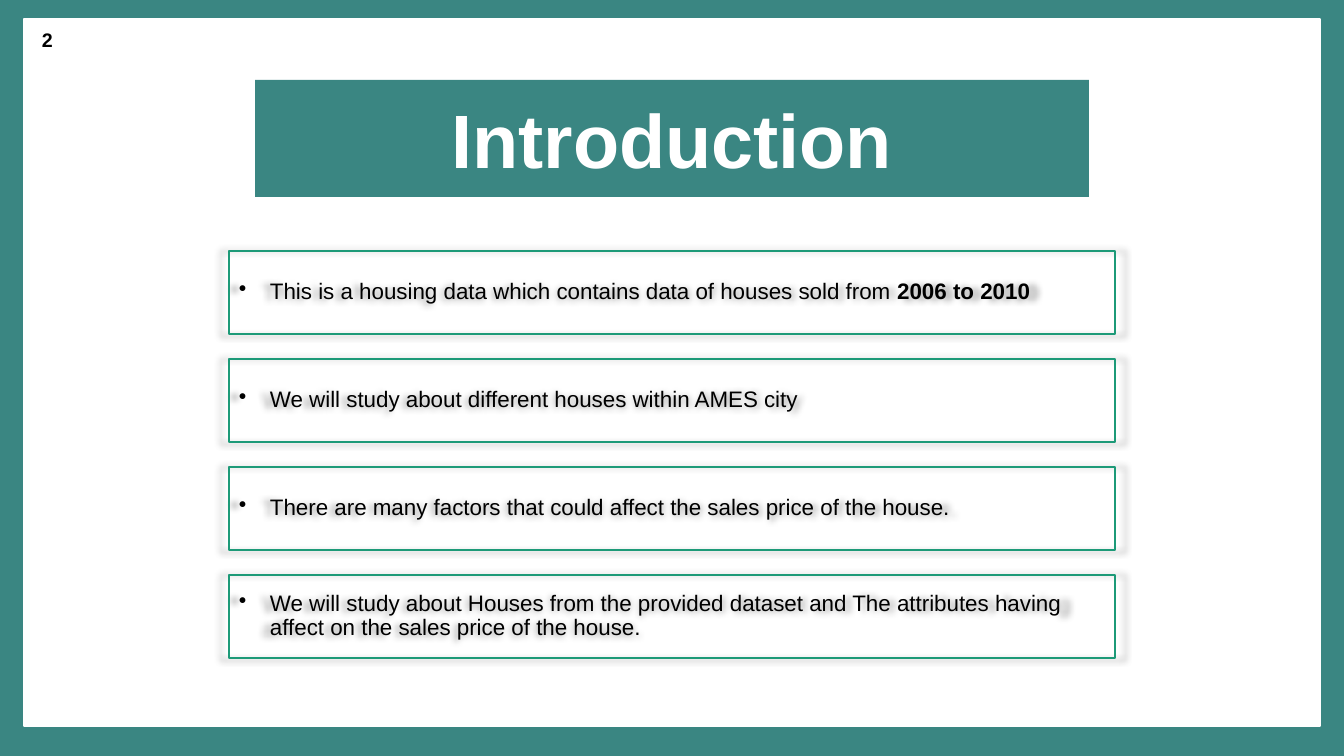
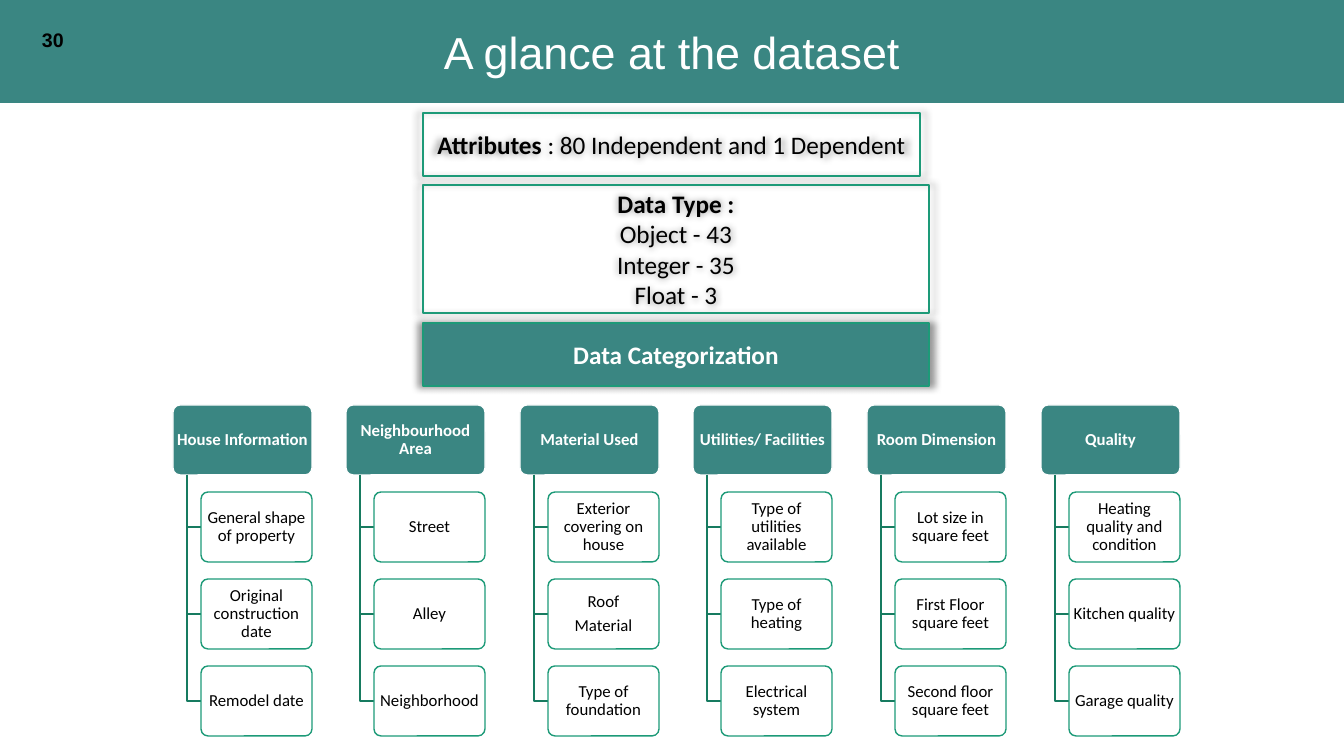
from lxml import etree
from pptx import Presentation
from pptx import util as u
from pptx.dml.color import RGBColor
from pptx.enum import shapes, text
from pptx.oxml import ns

WIDTH, HEIGHT = 1344, 756
EMU_PER_PX = 12192000 / WIDTH


def px(length):
    return u.Emu(round(length * EMU_PER_PX))


def rgb(value):
    return RGBColor.from_string(value)


class Deck:
    TEAL, GREEN, STEM = "3A8682", "1D9A78", "177B60"
    WHITE, BLACK = "FFFFFF", "000000"
    HEADING, BODY = "Arial", "Calibri"
    RECT = shapes.MSO_SHAPE.RECTANGLE
    ROUND = shapes.MSO_SHAPE.ROUNDED_RECTANGLE

    def __init__(self):
        self.prs = Presentation()
        self.prs.slide_width, self.prs.slide_height = px(WIDTH), px(HEIGHT)
        self.slide = None

    def new_slide(self):
        self.slide = self.prs.slides.add_slide(self.prs.slide_layouts[6])

    def box(self, left, top, width, height, fill=None, line=None, kind=RECT):
        box = self.slide.shapes.add_shape(kind, px(left), px(top), px(width), px(height))
        box.shadow.inherit = False
        if fill:
            box.fill.solid()
            box.fill.fore_color.rgb = rgb(fill)
        else:
            box.fill.background()
        self.outline(box, line)
        return box

    def outline(self, shape, line):
        if line:
            shape.line.color.rgb = rgb(line)
            shape.line.width = u.Pt(1)
        else:
            shape.line.fill.background()

    def glow(self, shape):
        effects = shape._element.spPr.find(ns.qn("a:effectLst"))
        shadow = etree.SubElement(effects, ns.qn("a:outerShdw"), blurRad=str(u.Pt(5)),
                                  sx="102000", sy="102000", algn="ctr", rotWithShape="0")
        black = etree.SubElement(shadow, ns.qn("a:prstClr"), val="black")
        etree.SubElement(black, ns.qn("a:alpha"), val="40000")

    def label(self, shape, paragraphs, size, font, color, bold=False, centered=True,
              bullet=False, spacing=None, gap=0, inset=(10, 5)):
        frame = shape.text_frame
        frame.word_wrap = True
        frame.vertical_anchor = text.MSO_ANCHOR.MIDDLE
        frame.margin_left = frame.margin_right = px(inset[0])
        frame.margin_top = frame.margin_bottom = px(inset[1])
        for index, content in enumerate(paragraphs):
            paragraph = frame.add_paragraph() if index else frame.paragraphs[0]
            paragraph.alignment = text.PP_ALIGN.CENTER if centered else text.PP_ALIGN.LEFT
            if spacing:
                paragraph.line_spacing = spacing
            if index and gap:
                paragraph.space_before = u.Pt(gap)
            if bullet:
                properties = paragraph._p.get_or_add_pPr()
                properties.set("marL", str(px(31)))
                properties.set("indent", str(-px(31)))
                etree.SubElement(properties, ns.qn("a:buChar"), char="•")
            paragraph.font.size = u.Pt(size)
            paragraph.font.name = font
            paragraph.font.color.rgb = rgb(color)
            if isinstance(content, str):
                paragraph.font.bold = bold
                paragraph.add_run().text = content
            else:
                for words, strong in content:
                    run = paragraph.add_run()
                    run.text = words
                    run.font.bold = strong

    def title(self, words, left, top, width, height, size, bold=False):
        banner = self.box(left, top, width, height, self.TEAL)
        self.label(banner, [words], size, self.HEADING, self.WHITE, bold)

    def page_number(self, number):
        corner = self.slide.shapes.add_textbox(px(32), px(20), px(302), px(40))
        self.label(corner, [str(number)], 14, self.HEADING, self.BLACK, True, centered=False)

    def frame(self):
        self.box(0, 0, WIDTH, HEIGHT, self.TEAL)
        self.box(24, 19, WIDTH - 48, 707, self.WHITE, self.WHITE)

    def bullet_card(self, top, content):
        card = self.box(229, top, 886, 83, line=self.GREEN)
        self.glow(card)
        self.label(card, [content], 16, self.HEADING, self.BLACK,
                   centered=False, bullet=True, spacing=0.9)

    def summary(self, top, width, height, paragraphs, fill=None, color=BLACK, bold=False):
        panel = self.box(423, top, width, height, fill, self.GREEN)
        self.glow(panel)
        self.label(panel, paragraphs, 18, self.BODY, color, bold)

    def node(self, left, top, width, paragraphs, fill, line, color, bold=False):
        node = self.box(left, top, width, 70, fill, line, self.ROUND)
        node.adjustments[0] = 0.1
        self.label(node, paragraphs, 12, self.BODY, color, bold,
                   spacing=0.9, gap=4, inset=(2, 2))

    def elbow(self, left, top, right, bottom):
        outline = self.slide.shapes.build_freeform(px(left), px(top))
        outline.add_line_segments([(px(left), px(bottom)), (px(right), px(bottom))], close=False)
        elbow = outline.convert_to_shape()
        elbow.shadow.inherit = False
        elbow.fill.background()
        self.outline(elbow, self.STEM)

    def category(self, left, heading, attributes):
        self.node(left, 405, 139, [heading], self.TEAL, self.WHITE, self.WHITE, True)
        for row, attribute in enumerate(attributes):
            top = 492 + 87 * row
            self.elbow(left + 14, 475, left + 28, top + 35)
            self.node(left + 28, top, 111, attribute.split("\n"),
                      self.WHITE, self.GREEN, self.BLACK)


POINTS = [
    [("This is a housing data which contains data of houses sold from ", False),
     ("2006 to 2010", True)],
    "We will study about different houses within AMES city",
    "There are many factors that could affect the sales price of the house.",
    "We will study about Houses from the provided dataset and The attributes having "
    "affect on the sales price of the house.",
]

CATEGORIES = {
    "House Information": ["General shape of property", "Original construction date",
                          "Remodel date"],
    "Neighbourhood Area": ["Street", "Alley", "Neighborhood"],
    "Material Used": ["Exterior covering on house", "Roof\nMaterial", "Type of foundation"],
    "Utilities/ Facilities": ["Type of utilities available", "Type of heating",
                              "Electrical system"],
    "Room Dimension": ["Lot size in square feet", "First Floor square feet",
                       "Second floor square feet"],
    "Quality": ["Heating quality and condition", "Kitchen quality", "Garage quality"],
}


def introduction(deck):
    deck.new_slide()
    deck.frame()
    deck.title("Introduction", 255, 80, 834, 117, 54, bold=True)
    for row, point in enumerate(POINTS):
        deck.bullet_card(251 + 108 * row, point)
    deck.page_number(2)


def dataset(deck):
    deck.new_slide()
    deck.title("A glance at the dataset", 0, 0, WIDTH, 103, 32)
    first, last = 173, 1041
    for column, (heading, attributes) in enumerate(CATEGORIES.items()):
        left = first + (last - first) * column // (len(CATEGORIES) - 1)
        deck.category(left, heading, attributes)
    deck.summary(113, 497, 63, [[("Attributes ", True),
                                 (": 80 Independent and 1 Dependent", False)]])
    deck.summary(185, 506, 128, [[("Data Type :", True)],
                                 "Object - 43", "Integer - 35", "Float - 3"])
    deck.summary(323, 506, 63, ["Data Categorization"], deck.TEAL, deck.WHITE, True)
    deck.page_number(30)


def main():
    deck = Deck()
    introduction(deck)
    dataset(deck)
    deck.prs.save("out.pptx")


if __name__ == "__main__":
    main()
